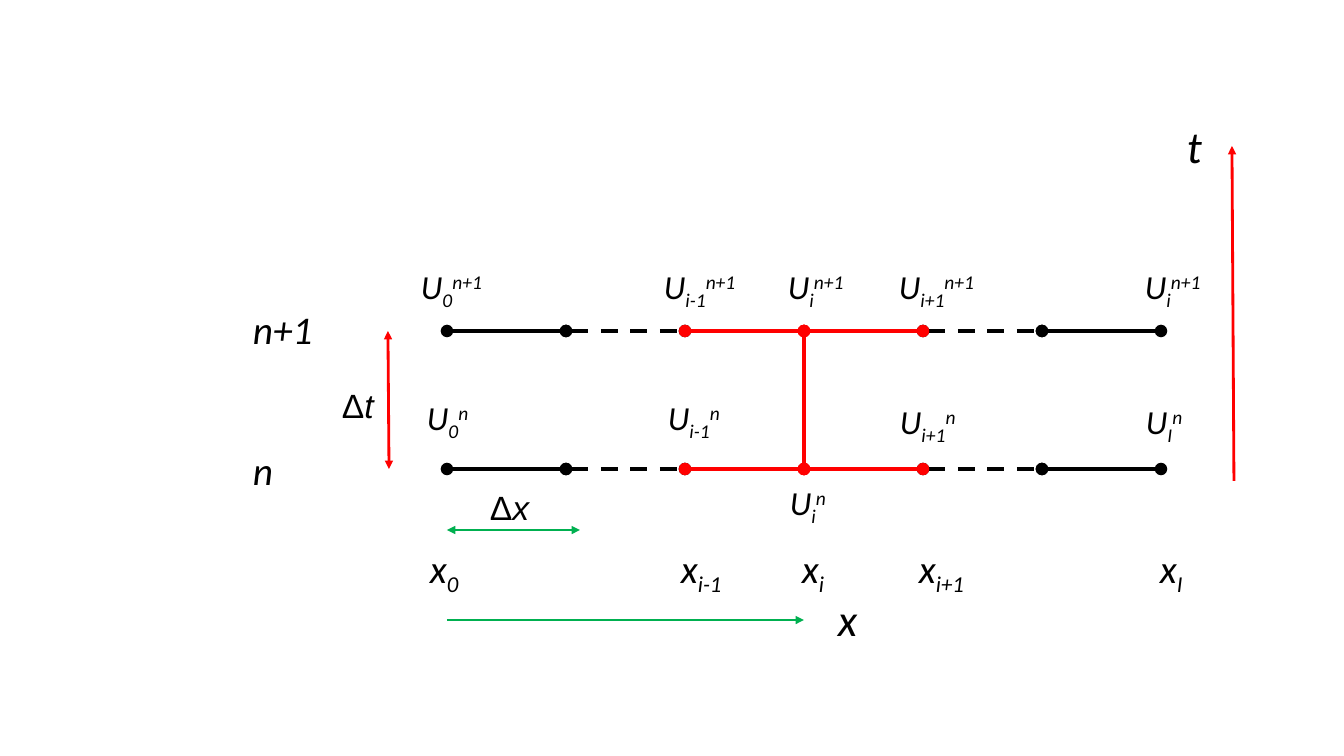
from lxml.etree import SubElement
from pptx import Presentation
from pptx.dml.color import RGBColor
from pptx.enum.dml import MSO_LINE_DASH_STYLE as DASH
from pptx.enum.shapes import MSO_CONNECTOR
from pptx.enum.text import MSO_AUTO_SIZE
from pptx.oxml.ns import qn
from pptx.util import Emu, Pt

PX = 914400 / 100.8
COLORS = {"black": "000000", "red": "FF0000", "green": "00B050"}
SUB, SUPER = -25000, 30000

presentation = Presentation()
presentation.slide_width = Emu(round(1344 * PX))
presentation.slide_height = Emu(round(756 * PX))
slide = presentation.slides.add_slide(presentation.slide_layouts[6])


def add_line(start, end, color, width=3, dashed=False, head="oval", tail="oval"):
    """Draw a line with head at its start and tail at its end."""
    points = [Emu(round(value * PX)) for value in (*start, *end)]
    connector = slide.shapes.add_connector(MSO_CONNECTOR.STRAIGHT, *points)
    connector.line.color.rgb = RGBColor.from_string(COLORS[color])
    connector.line.width = Pt(width)
    if dashed:
        connector.line.dash_style = DASH.DASH
    outline = connector.line._get_or_add_ln()
    SubElement(outline, qn("a:headEnd"), type=head)
    SubElement(outline, qn("a:tailEnd"), type=tail)
    SubElement(connector._element.spPr, qn("a:effectLst"))


def add_text(box, *runs, size=24, font="Calibri", wrap=True):
    """Write runs of (text, baseline shift, italic) in a box."""
    shape = slide.shapes.add_textbox(*[Emu(round(value * PX)) for value in box])
    frame = shape.text_frame
    frame.word_wrap = wrap
    frame.auto_size = MSO_AUTO_SIZE.SHAPE_TO_FIT_TEXT
    for text, baseline, italic in runs:
        run = frame.paragraphs[0].add_run()
        run.text = text
        run.font.name = font
        run.font.size = Pt(size)
        run.font.italic = italic
        run.font.color.rgb = RGBColor.from_string(COLORS["black"])
        if baseline:
            run._r.get_or_add_rPr().set("baseline", str(baseline))


# Grid: two time levels with seven nodes each
nodes = [447 + 119 * index for index in range(7)]
next_level, level = 331, 469
centre = nodes[3]
segment_styles = [("black", False), ("black", True), ("red", False),
                  ("red", False), ("black", True), ("black", False)]
segments = list(zip(nodes, nodes[1:], segment_styles))
segments.sort(key=lambda segment: not segment[2][1])  # dashed ones lie behind
for y in (level, next_level):
    for left, right, (color, dashed) in segments:
        add_line((left, y), (right, y), color, dashed=dashed)
add_line((centre, next_level), (centre, level), "red")

# Axes and step sizes
add_line((1234, 481), (1232, 146), "red", width=2, head="none", tail="triangle")
add_line((447, 620), (centre, 620), "green", width=2, head="none", tail="triangle")
add_line((447, 530), (580, 530), "green", width=2, head="triangle", tail="triangle")
add_line((388, next_level), (389, level), "red", width=2, head="triangle", tail="triangle")
for box, name in [((1177, 114, 35, 64), "t"), ((828, 587, 40, 64), "x")]:
    add_text(box, (name, 0, True), size=32, wrap=False)
for box, name in [((480, 482, 85, 50), "x"), ((332, 380, 85, 50), "t")]:
    add_text(box, ("Δ", 0, False), (name, 0, True), font="Arial")

# Time levels
for top, name in [(300, "n+1"), (441, "n")]:
    add_text((243, top, 118, 57), (name, 0, True), size=28)

# Values at the nodes
values = [
    (411, 261, 100, "0", "n+1"), (654, 261, 115, "i-1", "n+1"),
    (778, 261, 96, "i", "n+1"), (889, 261, 115, "i+1", "n+1"),
    (1135, 261, 100, "i", "n+1"),
    (417, 392, 86, "0", "n"), (658, 392, 86, "i-1", "n"),
    (780, 477, 86, "i", "n"), (890, 396, 93, "i+1", "n"),
    (1136, 396, 86, "I", "n"),
]
for left, top, width, index, time in values:
    add_text((left, top, width, 50), ("U", 0, True), (index, SUB, True), (time, SUPER, True))

# Node coordinates
coordinates = [(420, 53, "0"), (671, 70, "i-1"), (792, 53, "i"),
               (909, 74, "i+1"), (1150, 53, "I")]
for left, width, index in coordinates:
    add_text((left, 539, width, 57), ("x", 0, True), (index, SUB, True), size=28)

presentation.save("out.pptx")
